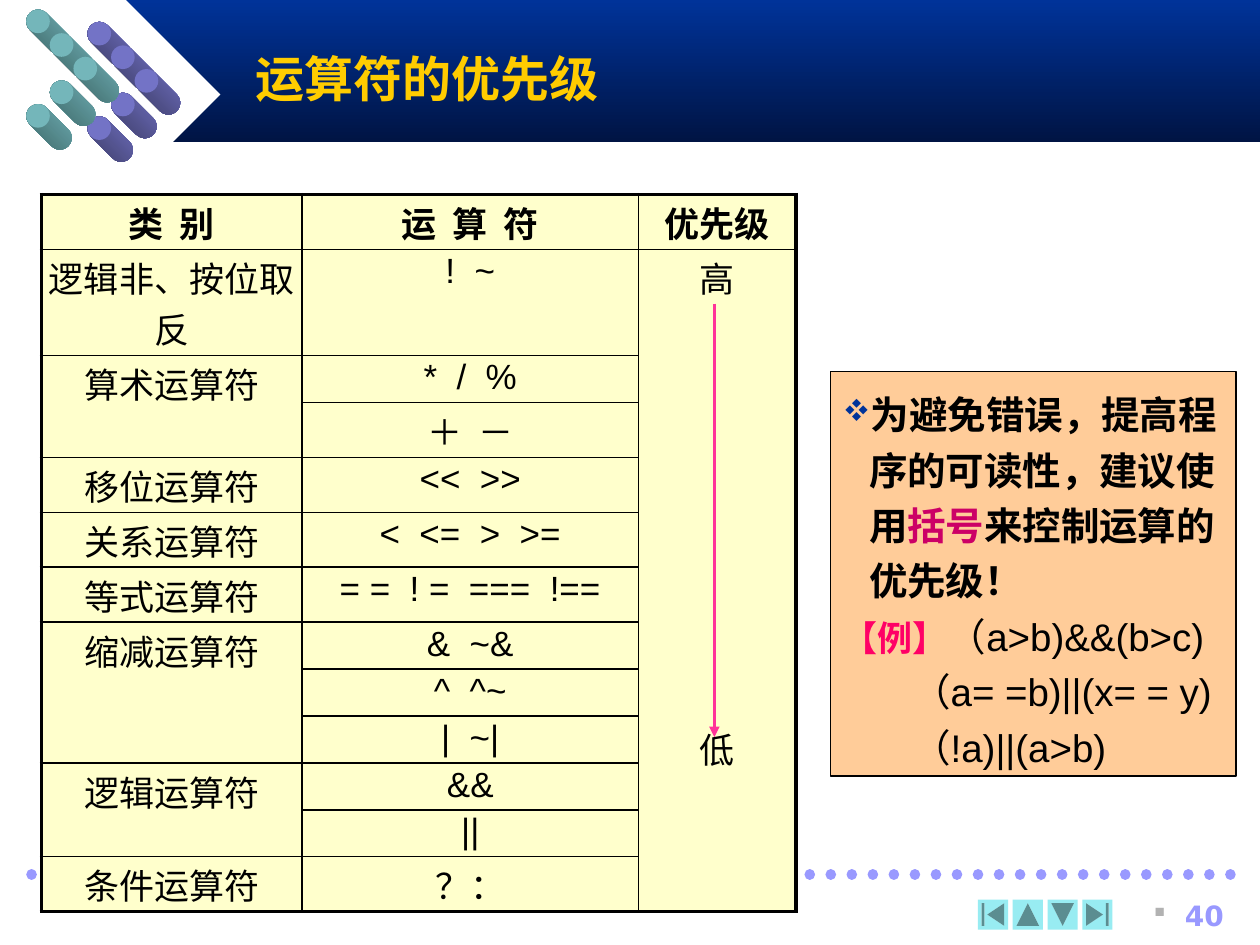
from lxml import etree
from pptx import Presentation
from pptx import util as u
from pptx.dml.color import RGBColor
from pptx.enum import dml, shapes, text
from pptx.oxml import parse_xml
from pptx.oxml.ns import nsdecls, qn

Pt = u.Pt
SHAPE = shapes.MSO_SHAPE
ALIGN = text.PP_ALIGN
CJK = "Noto Sans CJK SC"

# Category and its operator rows, from high to low precedence
OPERATORS = [
    ("逻辑非、按位取反", ["!  ~"]),
    ("算术运算符", ["*  /  %", "＋  －"]),
    ("移位运算符", ["<<  >>"]),
    ("关系运算符", ["<  <=  >  >="]),
    ("等式运算符", ["= =  ! =  ===  !=="]),
    ("缩减运算符", ["&  ~&", "^  ^~", "|  ~|"]),
    ("逻辑运算符", ["&&", "||"]),
    ("条件运算符", ["？："]),
]
SHORT, TALL, DOUBLE = 26.4, 31.4, 60.6
ROW_HEIGHTS = [TALL, DOUBLE, SHORT] + [TALL] * 4 + [SHORT] * 5 + [TALL]


def color(value):
    return RGBColor.from_string(value)


def format_run(run, size, value, bold=False, font="Arial"):
    run.font.size = Pt(size)
    run.font.bold = bold
    run.font.name = font
    run.font.color.rgb = color(value)
    east_asian = etree.SubElement(run._r.get_or_add_rPr(), qn("a:ea"))
    east_asian.set("typeface", CJK)


def add_run(paragraph, words, *style):
    run = paragraph.add_run()
    run.text = words
    format_run(run, *style)


def set_indent(paragraph, left, first=0, bullet=None, bullet_color=None, percent=100):
    properties = paragraph._p.get_or_add_pPr()
    properties.set("marL", str(Pt(left)))
    properties.set("indent", str(Pt(first)))
    if bullet:
        for xml in (
            f'<a:buClr {nsdecls("a")}><a:srgbClr val="{bullet_color}"/></a:buClr>',
            f'<a:buSzPct {nsdecls("a")} val="{percent * 1000}"/>',
            f'<a:buFont {nsdecls("a")} typeface="Wingdings" charset="2"/>',
            f'<a:buChar {nsdecls("a")} char="{bullet}"/>',
        ):
            properties.append(parse_xml(xml))


def add_shape(slide, kind, left, top, width, height, fill, rotation=0):
    shape = slide.shapes.add_shape(kind, Pt(left), Pt(top), Pt(width), Pt(height))
    shape.shadow.inherit = False
    shape.line.fill.background()
    shape.rotation = rotation
    if isinstance(fill, str):
        shape.fill.solid()
        shape.fill.fore_color.rgb = color(fill)
    else:
        shape.fill.gradient()
        shape.fill.gradient_angle = 270
        for stop, value in zip(shape.fill.gradient_stops, fill):
            stop.color.rgb = color(value)
    return shape


def add_text(slide, left, top, width, height):
    box = slide.shapes.add_textbox(Pt(left), Pt(top), Pt(width), Pt(height))
    box.text_frame.word_wrap = True
    return box.text_frame


def add_line(slide, x1, y1, x2, y2, value, width):
    line = slide.shapes.add_connector(
        shapes.MSO_CONNECTOR.STRAIGHT, Pt(x1), Pt(y1), Pt(x2), Pt(y2))
    line.line.color.rgb = color(value)
    line.line.width = Pt(width)
    etree.SubElement(line._element.spPr, qn("a:effectLst"))
    return line


def add_cylinders(slide, left, top, face, side):
    """Five slanted cylinders set out as an arrowhead."""
    size, depth, step = 13.5, 12.5, 13.5
    length = size + depth * 1.41
    for row, column in enumerate((0, 1, 2, 1, 0)):
        x, y = left + column * step, top + row * step
        body = add_shape(slide, SHAPE.ROUNDED_RECTANGLE,
                         x + (size + depth - length) / 2, y + depth / 2,
                         length, size, side, 45)
        body.adjustments[0] = 0.5
        add_shape(slide, SHAPE.OVAL, x, y, size, size, face)


def add_decoration(slide):
    add_shape(slide, SHAPE.RECTANGLE, 72, 0, 648, 81, ("003399", "001444"))
    add_shape(slide, SHAPE.DIAMOND, 18, 0, 108, 108, "FFFFFF")
    add_cylinders(slide, 50, 12.5, "7373C6", ("7373C6", "38385F"))
    add_cylinders(slide, 15, 5.5, "74B6BA", ("74B6BA", "385F61"))

    # Dotted footer line
    dots = add_line(slide, 18, 499.7, 708, 499.7, "9999FF", 6)
    dots.line.dash_style = dml.MSO_LINE.ROUND_DOT
    dots.line._get_or_add_ln().set("cap", "rnd")

    # Navigation buttons
    buttons = [
        (SHAPE.ACTION_BUTTON_BEGINNING, 0),
        (SHAPE.ACTION_BUTTON_BACK_OR_PREVIOUS, 90),
        (SHAPE.ACTION_BUTTON_FORWARD_OR_NEXT, 90),
        (SHAPE.ACTION_BUTTON_END, 0),
    ]
    for index, (kind, rotation) in enumerate(buttons):
        add_shape(slide, kind, 558.8 + index * 19.9, 514, 17.2, 17.2, "98ECF2", rotation)

    # Page number
    paragraph = add_text(slide, 638, 510, 68.4, 24).paragraphs[0]
    paragraph.alignment = ALIGN.RIGHT
    set_indent(paragraph, 18, -18, "§", "B2B2B2")
    add_run(paragraph, "40", 16, "9999FF", True, "DejaVu Sans")


def fill_cell(cell, words, bold=False):
    cell.text_frame.text = words
    for paragraph in cell.text_frame.paragraphs:
        paragraph.alignment = ALIGN.CENTER
        for run in paragraph.runs:
            format_run(run, 20, "000000", bold)


def set_borders(cell, widths):
    properties = cell._tc.get_or_add_tcPr()
    for index, (side, width) in enumerate(widths.items()):
        properties.insert(index, parse_xml(
            f'<a:ln{side} {nsdecls("a")} w="{Pt(width)}"><a:solidFill>'
            f'<a:srgbClr val="000000"/></a:solidFill></a:ln{side}>'))


def add_operator_table(slide):
    row_count = len(ROW_HEIGHTS)
    frame = slide.shapes.add_table(
        row_count, 3, Pt(23.6), Pt(111.2), Pt(431.3), Pt(sum(ROW_HEIGHTS)))
    table = frame.table
    table.first_row = table.horz_banding = False
    style = table._tbl.tblPr.find(qn("a:tableStyleId"))
    style.text = "{2D5ABB26-0587-4C30-8999-92F81FD0307C}"
    for column, width in zip(table.columns, (149, 192.3, 90)):
        column.width = Pt(width)
    for row, height in zip(table.rows, ROW_HEIGHTS):
        row.height = Pt(height)

    # Wording and merged cells
    for column, heading in enumerate(("类  别", "运  算  符", "优先级")):
        fill_cell(table.cell(0, column), heading, True)
    first = 1
    for category, operators in OPERATORS:
        last = first + len(operators) - 1
        if last > first:
            table.cell(first, 0).merge(table.cell(last, 0))
        fill_cell(table.cell(first, 0), category)
        for row, words in enumerate(operators, first):
            fill_cell(table.cell(row, 1), words)
        first = last + 1
    priority = table.cell(1, 2)
    priority.merge(table.cell(row_count - 1, 2))
    fill_cell(priority, "高\n低")
    priority.text_frame.paragraphs[1].space_before = Pt(240)

    # Fill, margins, thick frame and thin inner rules
    for row in range(row_count):
        for column in range(3):
            cell = table.cell(row, column)
            cell.margin_left = cell.margin_right = Pt(2.2)
            cell.margin_top = cell.margin_bottom = Pt(1.4)
            cell.fill.solid()
            cell.fill.fore_color.rgb = color("FFFFCC")
            widths = {"L": 1 if column else 2.25, "R": 2.25 if column == 2 else 1}
            if not cell.is_spanned:
                widths["T"] = 1 if row else 2.25
            height = cell.span_height if cell.is_merge_origin else 1
            if row + height == row_count:
                widths["B"] = 2.25
            elif not cell.is_spanned:
                widths["B"] = 1
            set_borders(cell, widths)


def add_advice(slide):
    box = add_shape(slide, SHAPE.RECTANGLE, 474.5, 212.4, 231.8, 231, "FFCC99")
    box.line.color.rgb = color("000000")
    box.line.width = Pt(0.75)
    frame = box.text_frame
    frame.word_wrap = True
    frame.vertical_anchor = text.MSO_ANCHOR.BOTTOM
    plain = (22, "000000")
    strong = (22, "000000", True, CJK)
    lines = [
        [("为避免错误，提高程序的可读性，建议使用", *strong),
         ("括号", 22, "CC0066", True, CJK),
         ("来控制运算的优先级！", *strong)],
        [("【例】", 20, "FF0066", True, CJK), ("（a>b)&&(b>c)", *plain)],
        [("（a= =b)||(x= = y)", *plain)],
        [("（!a)||(a>b)", *plain)],
    ]
    for index, runs in enumerate(lines):
        paragraph = frame.add_paragraph() if index else frame.paragraphs[0]
        paragraph.alignment = ALIGN.LEFT
        paragraph.line_spacing = 1.2
        if index == 0:
            set_indent(paragraph, 15, -15, "v", "003399", 80)
        elif index == 1:
            set_indent(paragraph, 15, -15)
        else:
            set_indent(paragraph, 39.7)
        for run in runs:
            add_run(paragraph, *run)


def main():
    presentation = Presentation()
    presentation.slide_width, presentation.slide_height = Pt(720), Pt(540)
    slide = presentation.slides.add_slide(presentation.slide_layouts[6])
    add_decoration(slide)

    # Title
    title = add_text(slide, 139, 18, 560, 53.3)
    title.vertical_anchor = text.MSO_ANCHOR.MIDDLE
    add_run(title.paragraphs[0], "运算符的优先级", 28, "FFCC00", True)

    add_operator_table(slide)
    add_advice(slide)

    # Arrow from high to low precedence
    arrow = add_line(slide, 408.2, 173.5, 408.2, 421.2, "FF3399", 1.75)
    etree.SubElement(arrow.line._get_or_add_ln(), qn("a:tailEnd")).set("type", "triangle")

    presentation.save("out.pptx")


if __name__ == "__main__":
    main()
